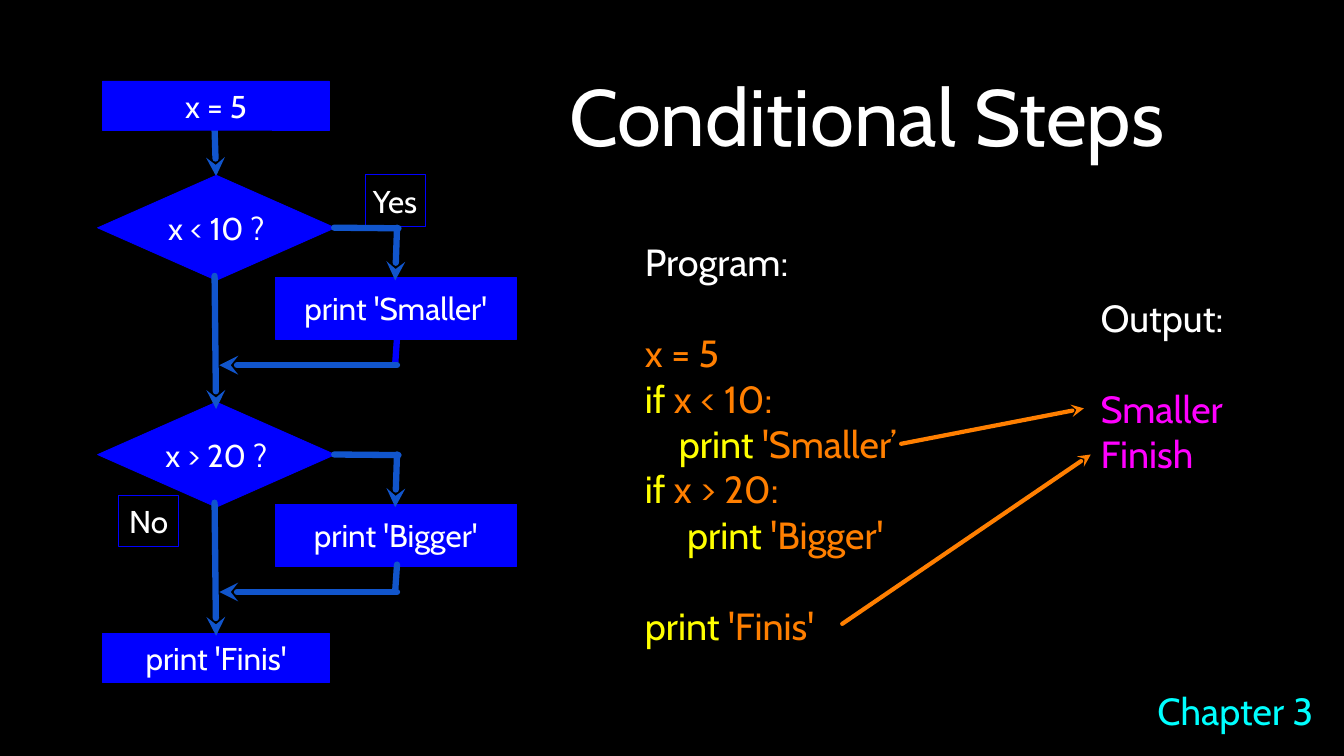
"""Build the Conditional Steps slide: a flowchart beside its program and output."""
import pptx
import pptx.dml.color
import pptx.enum.shapes
import pptx.enum.text
import pptx.oxml
import pptx.oxml.ns
import pptx.util
from pptx.util import Cm

COLOURS = {
    "black": "000000", "white": "FFFFFF", "blue": "0000FF", "steel": "1155CC",
    "orange": "FF7F00", "yellow": "FFFF00", "magenta": "FF00FF", "cyan": "00FFFF",
}
RGB = {name: pptx.dml.color.RGBColor.from_string(code) for name, code in COLOURS.items()}
SHAPE = pptx.enum.shapes.MSO_SHAPE
ALIGN = pptx.enum.text.PP_ALIGN
LINE_HEIGHT = pptx.util.Pt(43.5)


def write(box, lines, size, align=ALIGN.CENTER, margin=0):
    """Fill a box with lines, each given as gap in lines, indent in cm, and runs."""
    frame = box.text_frame
    frame.word_wrap = True
    frame.vertical_anchor = pptx.enum.text.MSO_ANCHOR.MIDDLE
    frame.margin_left = frame.margin_right = Cm(margin)
    frame.margin_top = frame.margin_bottom = Cm(margin)
    for number, (gap, indent, spans) in enumerate(lines):
        para = frame.add_paragraph() if number else frame.paragraphs[0]
        para.alignment = align
        if gap:
            para.space_before = gap * LINE_HEIGHT
        if indent:
            para._p.get_or_add_pPr().set("marL", str(Cm(indent)))
        for text, colour in spans:
            span = para.add_run()
            span.text = text
            span.font.name = "Cabin"
            span.font.size = pptx.util.Pt(size)
            span.font.color.rgb = RGB[colour]


def join(start, end, colour="steel", width=6, arrow=True):
    """Draw a line whose optional arrowhead sits at its start."""
    line = page.shapes.add_connector(
        pptx.enum.shapes.MSO_CONNECTOR.STRAIGHT, *[Cm(value) for value in start + end])
    line.line.color.rgb = RGB[colour]
    line.line.width = pptx.util.Pt(width)
    outline = line.line._get_or_add_ln()
    outline.set("cap", "rnd")
    namespace = pptx.oxml.ns.nsdecls("a")
    if arrow:
        outline.append(pptx.oxml.parse_xml(f'<a:headEnd {namespace} type="stealth"/>'))
    line._element.spPr.append(pptx.oxml.parse_xml(f"<a:effectLst {namespace}/>"))


deck = pptx.Presentation()
deck.slide_width, deck.slide_height = Cm(45.16), Cm(25.4)
page = deck.slides.add_slide(deck.slide_layouts[6])
page.background.fill.solid()
page.background.fill.fore_color.rgb = RGB["black"]

program = [
    (0, 0, [("Program:", "white")]),
    (1, 0, [("x = 5", "orange")]),
    (0, 0, [("if", "yellow"), (" x < 10:", "orange")]),
    (0, 1.14, [("print", "yellow"), (" 'Smaller’", "orange")]),
    (0, 0, [("if", "yellow"), (" x > 20:", "orange")]),
    (0, 1.42, [("print", "yellow"), (" 'Bigger'", "orange")]),
    (1, 0, [("print", "yellow"), (" 'Finis'", "orange")]),
]
output = [
    (0, 0, [("Output:", "white")]),
    (1, 0, [("Smaller", "magenta")]),
    (0, 0, [("Finish", "magenta")]),
]
title = [(0, 0, [("Conditional Steps", "white")])]
chapter = [(0, 0, [("Chapter 3", "cyan")])]
for place, lines, size, align, margin in [
    ((16.33, 0.66, 25.58, 6.38), title, 76, ALIGN.CENTER, 0.1),
    ((36.98, 9.91, 4.39, 6.07), output, 36, ALIGN.LEFT, 0),
    ((21.67, 7.98, 8.61, 13.84), program, 36, ALIGN.LEFT, 0),
    ((38.74, 23.01, 5.54, 1.73), chapter, 36, ALIGN.CENTER, 0),
]:
    box = page.shapes.add_textbox(*[Cm(value) for value in place])
    write(box, lines, size, align, margin)

join((7.26, 5.92), (7.21, 4.34))
join((36.42, 13.72), (30.28, 14.91), "orange", 4)
join((36.65, 15.27), (28.3, 20.96), "orange", 4)

step_height = 7.62
nodes = [
    (SHAPE.RECTANGLE, (3.45, 2.72, 7.62, 1.65), "x = 5", True),
    (SHAPE.RECTANGLE, (3.45, 21.29, 7.62, 1.65), "print 'Finis'", True),
    (SHAPE.RECTANGLE, (12.27, 5.87, 2.01, 1.73), "Yes", False),
    (SHAPE.RECTANGLE, (3.99, 16.64, 2.01, 1.73), "No", False),
]
for step, (test, action) in enumerate(
        [("x < 10 ?", "print 'Smaller'"), ("x > 20 ?", "print 'Bigger'")]):
    drop = step * step_height
    nodes += [
        (SHAPE.DIAMOND, (3.28, 5.89 + drop, 7.98, 3.53), test, True),
        (SHAPE.RECTANGLE, (9.25, 9.32 + drop, 8.1, 2.08), action, True),
    ]

for outline, place, text, filled in nodes:
    node = page.shapes.add_shape(outline, *[Cm(value) for value in place])
    node.shadow.inherit = False
    if filled:
        node.fill.solid()
        node.fill.fore_color.rgb = RGB["blue"]
    else:
        node.fill.background()
    node.line.color.rgb = RGB["blue"]
    node.line.width = pptx.util.Pt(0.75)
    write(node, [(0, 0, [(text, "white")])], 30)

for step, return_colour in enumerate(["blue", "steel"]):
    drop = step * step_height
    join((7.26, 13.74 + drop), (7.21, 9.27 + drop))
    join((13.39, 7.67 + drop), (11.23, 7.65 + drop), arrow=False)
    join((13.28, 9.42 + drop), (13.34, 7.65 + drop))
    join((13.34, 11.35 + drop), (13.28, 12.22 + drop), return_colour, arrow=False)
    join((7.37, 12.27 + drop), (13.34, 12.27 + drop))

deck.save("out.pptx")
